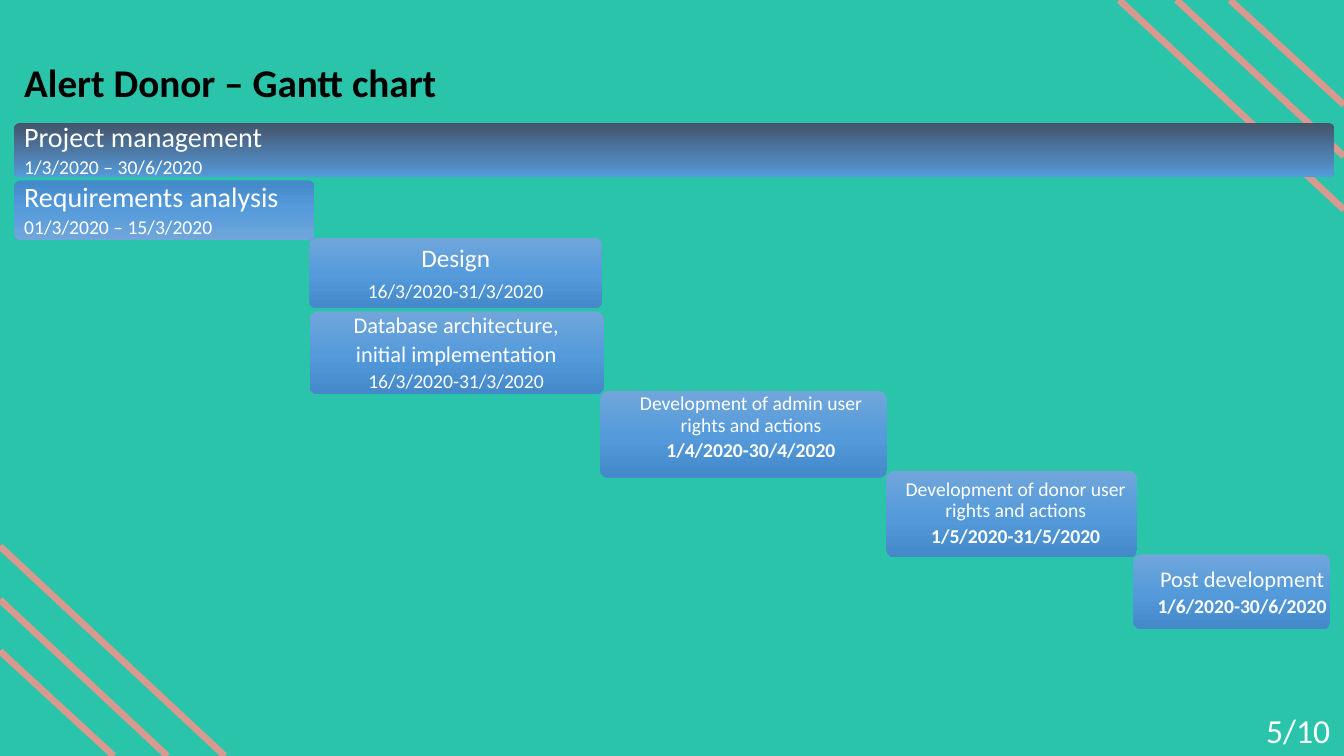
from pptx import Presentation
from pptx.dml.color import RGBColor
from pptx.enum.shapes import MSO_CONNECTOR as Link, MSO_SHAPE as Shape
from pptx.enum.text import MSO_ANCHOR as Anchor, MSO_AUTO_SIZE as Auto, PP_ALIGN as Align
from pptx.oxml.ns import qn
from pptx.util import Inches, Pt
from lxml.etree import SubElement

WIDE, HIGH = 13.33, 7.5
FONT, TEAL, PINK, WHITE = "Calibri", "2AC4AA", "DA998E", "FFFFFF"
BLUE = [(0, "71A6DB"), (50, "559BDB"), (100, "448ACA")]
FLIP = [(100 - pos, tint) for pos, tint in reversed(BLUE)]
DARK = [(0, "44546A"), (100, "559BDB")]
STRIPES = [(1.13, 1.04), (1.66, 1.55), (2.23, 2.08)]
LEFT, MID = Align.LEFT, Align.CENTER

TASKS = [
    ((0.14, 1.22, 13.09, 0.54), DARK, (0.16, 1.24, 13.06, 0.51), 0.08, LEFT, 0.9, 3,
     [("Project management", 20, False), ("1/3/2020 – 30/6/2020", 14, False)]),
    ((0.14, 1.79, 2.98, 0.59), FLIP, (0.16, 1.8, 2.95, 0.55), 0.08, LEFT, 1.0, 1,
     [("Requirements analysis", 20, False), ("01/3/2020 – 15/3/2020", 14, False)]),
    ((3.07, 2.36, 2.9, 0.7), BLUE, (3.09, 2.39, 2.86, 0.66), 0.07, MID, 0.9, 6,
     [("Design", 18, False), ("16/3/2020-31/3/2020", 14, False)]),
    ((3.07, 3.09, 2.92, 0.82), BLUE, (3.09, 3.12, 2.87, 0.77), 0.07, MID, 0.9, 3,
     [("Database architecture,", 16, False), ("initial implementation", 16, False),
      ("16/3/2020-31/3/2020", 14, False)]),
    ((5.95, 3.88, 2.85, 0.86), BLUE, (6.05, 3.88, 2.8, 0.73), 0.07, MID, 0.9, 3,
     [("Development of admin user rights and actions", 14, False),
      ("1/4/2020-30/4/2020", 14, True)]),
    ((8.79, 4.67, 2.49, 0.86), BLUE, (8.85, 4.73, 2.45, 0.73), 0.07, MID, 0.9, 3,
     [("Development of donor user rights and actions", 14, False),
      ("1/5/2020-31/5/2020", 14, True)]),
    ((11.24, 5.5, 1.95, 0.74), BLUE, (11.36, 5.57, 1.92, 0.63), 0.07, MID, 0.9, 3,
     [("Post development", 16, False), ("1/6/2020-30/6/2020", 14, True)]),
]


def color(code):
    return RGBColor.from_string(code)


def inch(box):
    return [Inches(n) for n in box]


def add_run(para, text, size, tint=WHITE, bold=False):
    run = para.add_run()
    run.text = text
    run.font.name = FONT
    run.font.size = Pt(size)
    run.font.bold = bold
    run.font.color.rgb = color(tint)


def add_stripe(slide, start, end):
    line = slide.shapes.add_connector(Link.STRAIGHT, *inch(start + end))
    line.line.color.rgb = color(PINK)
    line.line.width = Pt(4.75)
    SubElement(line._element.spPr, qn("a:effectLst"))


def add_bar(slide, box, stops):
    bar = slide.shapes.add_shape(Shape.ROUNDED_RECTANGLE, *inch(box))
    bar.adjustments[0] = 0.1
    bar.shadow.inherit = False
    bar.line.fill.background()
    bar.fill.gradient()
    bar.fill.gradient_angle = 270
    ramp = bar._element.spPr.find(".//" + qn("a:gsLst"))
    for old in list(ramp):
        ramp.remove(old)
    for pos, tint in stops:
        stop = SubElement(ramp, qn("a:gs"), pos=str(pos * 1000))
        SubElement(stop, qn("a:srgbClr"), val=tint)


def add_label(slide, box, inset, align, pitch, after, rows):
    frame = slide.shapes.add_textbox(*inch(box)).text_frame
    frame.word_wrap = True
    frame.vertical_anchor = Anchor.MIDDLE
    frame.margin_left = frame.margin_right = Inches(inset)
    frame.margin_top = frame.margin_bottom = Inches(inset)
    for i, (text, size, bold) in enumerate(rows):
        para = frame.add_paragraph() if i else frame.paragraphs[0]
        para.alignment = align
        para.line_spacing = pitch
        para.space_after = Pt(after)
        add_run(para, text, size, bold=bold)


def set_title(slide, text):
    title = slide.shapes.title
    title.left, title.top, title.width, title.height = inch((0.14, 0.53, 4.35, 0.57))
    frame = title.text_frame
    frame.word_wrap = False
    frame.auto_size = Auto.NONE
    frame.vertical_anchor = Anchor.MIDDLE
    para = frame.paragraphs[0]
    para.alignment = LEFT
    add_run(para, text, 28, "000000", True)


def add_page(slide, text):
    page = slide.shapes.add_shape(Shape.RECTANGLE, *inch((12.41, 7.07, 0.93, 0.43)))
    page.shadow.inherit = False
    page.fill.solid()
    page.fill.fore_color.rgb = color(TEAL)
    page.line.fill.background()
    para = page.text_frame.paragraphs[0]
    para.alignment = MID
    para.line_spacing = 0.8
    para.space_before = Pt(10)
    add_run(para, text, 24)


def main():
    deck = Presentation()
    deck.slide_width, deck.slide_height = inch((WIDE, HIGH))
    slide = deck.slides.add_slide(deck.slide_layouts[5])
    back = slide.background.fill
    back.solid()
    back.fore_color.rgb = color(TEAL)
    for run, rise in STRIPES:
        add_stripe(slide, (WIDE - run, 0), (WIDE, rise))
        add_stripe(slide, (run, HIGH), (0, HIGH - rise))
    add_page(slide, "5/10")
    for box, stops, *label in TASKS:
        add_bar(slide, box, stops)
        add_label(slide, *label)
    set_title(slide, "Alert Donor – Gantt chart")
    deck.save("out.pptx")


main()
